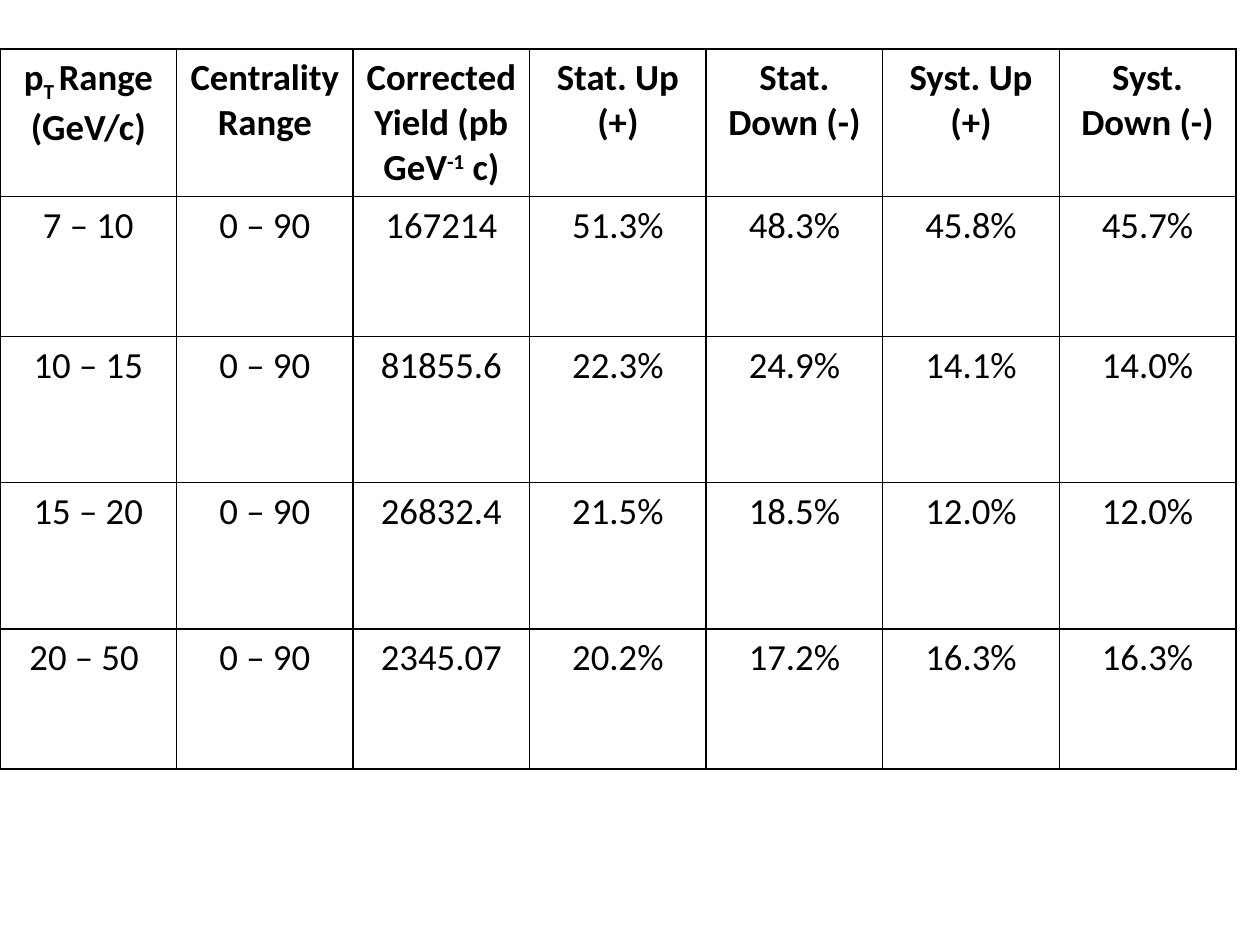
from lxml.etree import SubElement
from pptx import Presentation
from pptx.dml.color import RGBColor
from pptx.enum.text import PP_ALIGN
from pptx.oxml.ns import qn
from pptx.util import Pt

BLACK = RGBColor(0x00, 0x00, 0x00)

# Cells are text, or lists of (text, baseline shift in percent)
HEADER = [
    [("p", 0), ("T ", -25), ("Range (GeV/c)", 0)],
    "Centrality Range",
    [("Corrected Yield (pb GeV", 0), ("-1", 30), (" c)", 0)],
    "Stat. Up (+)", "Stat. Down (-)", "Syst. Up (+)", "Syst. Down (-)",
]
YIELDS = [
    ["7 – 10", "0 – 90", "167214", "51.3%", "48.3%", "45.8%", "45.7%"],
    ["10 – 15", "0 – 90", "81855.6", "22.3%", "24.9%", "14.1%", "14.0%"],
    ["15 – 20", "0 – 90", "26832.4", "21.5%", "18.5%", "12.0%", "12.0%"],
    ["20 – 50 ", "0 – 90", "2345.07", "20.2%", "17.2%", "16.3%", "16.3%"],
]
COL_WIDTH = 100.9
ROW_HEIGHTS = [84.2, 80, 83.5, 83.5, 80]


def write(tf, text, font="Calibri", size=21, bold=False, color=BLACK):
    p = tf.paragraphs[0]
    p.alignment = PP_ALIGN.CENTER
    for part, shift in [(text, 0)] if isinstance(text, str) else text:
        r = p.add_run()
        r.text = part
        r.font.name, r.font.size, r.font.bold = font, Pt(size), bold
        r.font.color.rgb = color
        if shift:
            r._r.get_or_add_rPr().set("baseline", str(shift * 1000))


class Deck:
    border_color, border_width = BLACK, 1

    def __init__(self, width, height):
        self.prs = Presentation()
        self.prs.slide_width, self.prs.slide_height = Pt(width), Pt(height)
        self.s = self.prs.slides.add_slide(self.prs.slide_layouts[6])

    def border(self, cell):
        tc_pr = cell._tc.get_or_add_tcPr()
        for side in "LRTB":
            ln = SubElement(tc_pr, qn(f"a:ln{side}"), w=str(Pt(self.border_width)))
            fill = SubElement(ln, qn("a:solidFill"))
            SubElement(fill, qn("a:srgbClr"), val=str(self.border_color))

    def table(self, rows, left, top, col_width, heights):
        cols = len(rows[0])
        table = self.s.shapes.add_table(
            len(rows), cols, Pt(left), Pt(top),
            Pt(col_width * cols), Pt(sum(heights))).table
        table.horz_banding = False
        for col in table.columns:
            col.width = Pt(col_width)
        for i, (row, height) in enumerate(zip(rows, heights)):
            table.rows[i].height = Pt(height)
            for j, text in enumerate(row):
                cell = table.cell(i, j)
                self.border(cell)
                cell.fill.background()
                write(cell.text_frame, text, bold=i == 0)


# Yield table
deck = Deck(720, 540)
deck.table([HEADER] + YIELDS, 0, 28.1, COL_WIDTH, ROW_HEIGHTS)
deck.prs.save("out.pptx")
